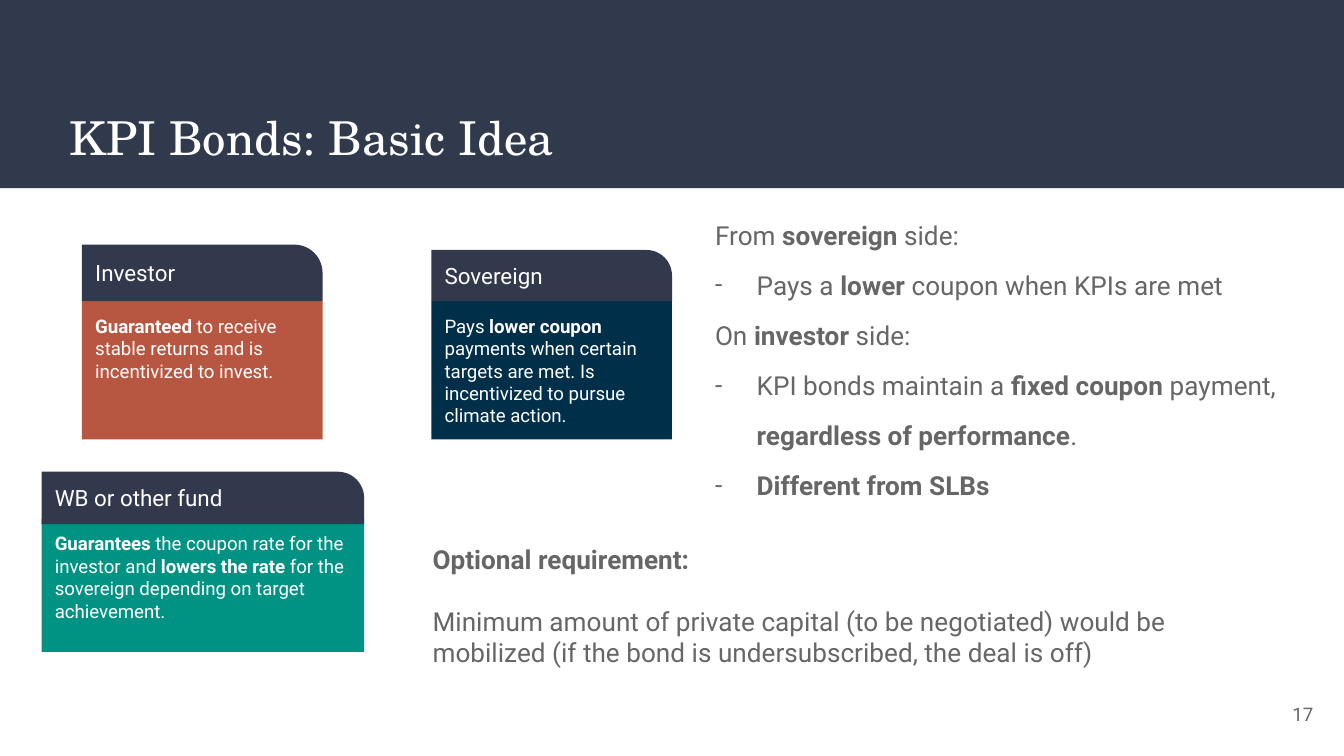
from lxml.etree import SubElement
from pptx import Presentation
from pptx.dml.color import RGBColor
from pptx.enum.shapes import MSO_SHAPE
from pptx.enum.text import MSO_ANCHOR, MSO_AUTO_SIZE, PP_ALIGN
from pptx.oxml.ns import qn
from pptx.util import Inches, Pt

HUES = {"band": "31394D", "head": "32394D", "white": "FFFFFF", "grey": "666666",
        "rust": "B85741", "navy": "002F4A", "teal": "009384"}


def write(para, text, size, hue, face="Roboto", align=PP_ALIGN.LEFT):
    """Fill a paragraph; parts between ** marks are bold."""
    para.alignment = align
    for i, part in enumerate(text.split("**")):
        if part:
            run = para.add_run()
            run.text = part
            form = {"name": face, "size": Pt(size), "bold": i % 2 == 1}
            for key, value in form.items():
                setattr(run.font, key, value)
            run.font.color.rgb = RGBColor.from_string(HUES[hue])


def setup(shape, box, anchor=MSO_ANCHOR.TOP, inset=0.1, fill=None):
    """Place a shape, set its text frame and, if asked, its fill."""
    for key, value in zip(("left", "top", "width", "height"), box):
        setattr(shape, key, Inches(value))
    frame = shape.text_frame
    form = {"word_wrap": True, "auto_size": MSO_AUTO_SIZE.NONE,
            "vertical_anchor": anchor,
            "margin_left": Inches(0.1), "margin_right": Inches(0.1),
            "margin_top": Inches(inset), "margin_bottom": Inches(inset)}
    for key, value in form.items():
        setattr(frame, key, value)
    if fill:
        shape.shadow.inherit = False
        shape.fill.solid()
        shape.fill.fore_color.rgb = RGBColor.from_string(HUES[fill])
        shape.line.fill.background()
    return frame


# Widescreen page, 16 to 9
deck = Presentation()
deck.slide_width, deck.slide_height = Inches(10), Inches(10 * 9 / 16)
slide = deck.slides.add_slide(deck.slide_layouts[1])
shapes = slide.shapes
title, body = shapes.title, slide.placeholders[1]

# Title band, sent behind the title
band = shapes.add_shape(MSO_SHAPE.RECTANGLE, 0, 0, 0, 0)
setup(band, (0, 0, 10, 1.4), fill="band")
title.element.addprevious(band.element)
frame = setup(title, (0.42, 0.71, 9.32, 0.68))
write(frame.paragraphs[0], "KPI Bonds: Basic Idea", 25, "white", "TeX Gyre Schola")

# Both sides of the bond
points = [
    (False, "From **sovereign** side:"),
    (True, "Pays a **lower** coupon when KPIs are met"),
    (False, "On **investor** side:"),
    (True, "KPI bonds maintain a **fixed coupon **payment, **regardless of performance**."),
    (True, "**Different from SLBs**"),
]
frame = setup(body, (5.05, 1.39, 4.9, 2.93))
for i, (dash, text) in enumerate(points):
    para = frame.add_paragraph() if i else frame.paragraphs[0]
    props = para._p.get_or_add_pPr()
    props.set("marL", str(Inches(0.48 if dash else 0.17)))
    props.set("indent", str(Inches(-0.31 if dash else 0)))
    if dash:
        tint = SubElement(props, qn("a:buClr"))
        SubElement(tint, qn("a:srgbClr")).set("val", HUES["grey"])
        SubElement(props, qn("a:buFont")).set("typeface", "Roboto")
        SubElement(props, qn("a:buChar")).set("char", "-")
    else:
        SubElement(props, qn("a:buNone"))
    para.line_spacing, para.space_before = 1.6, Pt(0)
    write(para, text, 14, "grey")

# Party cards: left, top, width, head height, body top, body height, fill, texts
cards = [
    (0.31, 3.51, 2.4, 0.39, 3.86, 0.99, "teal", "WB or other fund",
     "**Guarantees** the coupon rate for the investor and **lowers the rate **"
     "for the sovereign depending on target achievement."),
    (3.21, 1.86, 1.79, 0.38, 2.24, 1.03, "navy", "Sovereign",
     "Pays **lower coupon **payments when certain targets are met. "
     "Is incentivized to pursue climate action."),
    (0.61, 1.82, 1.79, 0.42, 2.24, 1.03, "rust", "Investor",
     "**Guaranteed** to receive stable returns and is incentivized to invest."),
]
for left, top, width, tall, low, deep, hue, name, text in cards:
    panel = shapes.add_shape(MSO_SHAPE.RECTANGLE, 0, 0, 0, 0)
    frame = setup(panel, (left, low, width, deep), fill=hue)
    write(frame.paragraphs[0], text, 10, "white")
    head = shapes.add_shape(MSO_SHAPE.ROUND_1_RECTANGLE, 0, 0, 0, 0)
    head.adjustments[0] = 0.5
    frame = setup(head, (left, top, width, tall), MSO_ANCHOR.MIDDLE, fill="head")
    write(frame.paragraphs[0], name, 12, "white")

# Page number
page = shapes.add_textbox(0, 0, 0, 0)
frame = setup(page, (9.27, 5.1, 0.6, 0.43), MSO_ANCHOR.MIDDLE)
write(frame.paragraphs[0], "17", 10, "grey", align=PP_ALIGN.RIGHT)

# Optional requirement
note = shapes.add_textbox(0, 0, 0, 0)
frame = setup(note, (3.12, 3.99, 6.19, 1.28), inset=0.05)
write(frame.paragraphs[0], "**Optional requirement:**", 14, "grey")
para = frame.add_paragraph()
para.space_before = Pt(16.5)
write(para, "Minimum amount of private capital (to be negotiated) would be mobilized "
      "(if the bond is undersubscribed, the deal is off)", 14, "grey")

deck.save("out.pptx")
